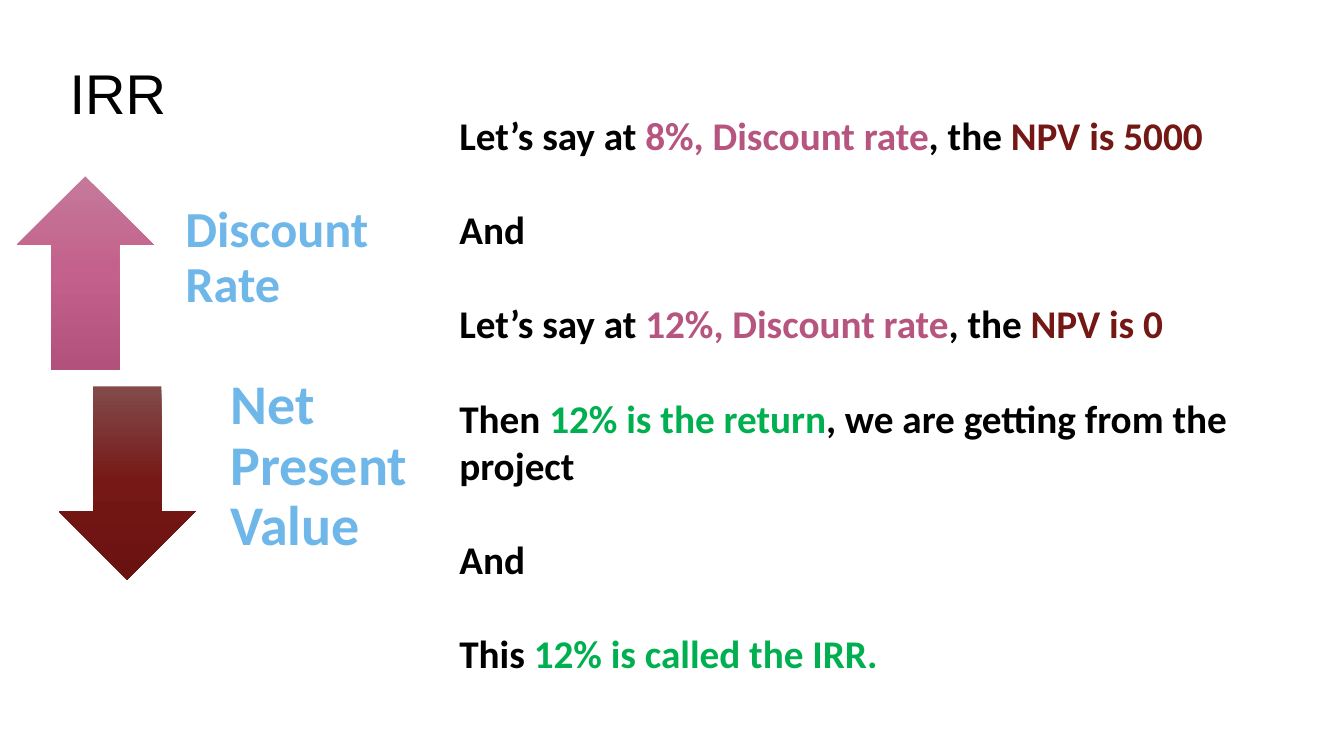
from copy import deepcopy
from dataclasses import dataclass

from pptx import Presentation
from pptx.dml.color import RGBColor
from pptx.enum.shapes import MSO_SHAPE
from pptx.enum.text import MSO_ANCHOR, MSO_AUTO_SIZE, PP_ALIGN
from pptx.oxml.ns import qn
from pptx.slide import Slide
from pptx.util import Emu, Inches, Pt

SLIDE_WIDTH, SLIDE_HEIGHT = Inches(13.33), Inches(7.5)
COLUMNS, ROWS = 160, 90


@dataclass(frozen=True)
class Theme:
    ink: str = "000000"
    label: str = "6FB7E9"
    rate: str = "B65680"
    npv: str = "731815"
    irr: str = "00B050"
    rising: tuple[str, ...] = ("C5799A", "C3618C", "B1517C")
    falling: tuple[str, ...] = ("824B4A", "751816", "6A1210")
    heading_font: str = "Arial"
    body_font: str = "Calibri"
    heading_size: int = 40
    body_size: int = 28
    tight: float = 0.9


THEME = Theme()


@dataclass(frozen=True)
class Area:
    """A rectangle in grid columns and rows."""
    column: float
    row: float
    columns: float
    rows: float

    def emu(self) -> tuple[Emu, Emu, Emu, Emu]:
        column_width, row_height = SLIDE_WIDTH / COLUMNS, SLIDE_HEIGHT / ROWS
        return (Emu(round(self.column * column_width)), Emu(round(self.row * row_height)),
                Emu(round(self.columns * column_width)), Emu(round(self.rows * row_height)))


@dataclass(frozen=True)
class Trend:
    """An arrow and the quantity that moves its way."""
    quantity: str
    direction: MSO_SHAPE
    shades: tuple[str, ...]
    column: float
    row: float
    size: int


TRENDS = (
    Trend("Discount Rate", MSO_SHAPE.UP_ARROW, THEME.rising, 2, 21, 36),
    Trend("Net Present Value", MSO_SHAPE.DOWN_ARROW, THEME.falling, 7, 46, 40),
)
ARROW_COLUMNS, TREND_ROWS = 16.3, 23
LABEL_GAP, LABEL_COLUMNS = 0.4, 30
LABEL_INSET = 0.56  # share of the label's type size

TITLE_AREA = Area(8.3, 7.3, 90.5, 10.9)
REASONING_AREA = Area(53.5, 12.7, 104.3, 63.4)
REASONING = (
    (("Let’s say at ", THEME.ink), ("8%, Discount rate", THEME.rate),
     (", the ", THEME.ink), ("NPV is 5000", THEME.npv)),
    (("And", THEME.ink),),
    (("Let’s say at ", THEME.ink), ("12%, Discount rate", THEME.rate),
     (", the ", THEME.ink), ("NPV is 0", THEME.npv)),
    (("Then ", THEME.ink), ("12% is the return", THEME.irr),
     (", we are getting from the project", THEME.ink)),
    (("And", THEME.ink),),
    (("This ", THEME.ink), ("12% is called the IRR.", THEME.irr)),
)


def rgb(code: str) -> RGBColor:
    return RGBColor.from_string(code)


def add_title(slide: Slide, wording: str) -> None:
    title = slide.shapes.title
    title.left, title.top, title.width, title.height = TITLE_AREA.emu()
    frame = title.text_frame
    frame.text = wording
    frame.margin_left = 0
    frame.vertical_anchor = MSO_ANCHOR.TOP
    heading = frame.paragraphs[0]
    heading.alignment = PP_ALIGN.LEFT
    heading.line_spacing = THEME.tight
    heading.font.name = THEME.heading_font
    heading.font.size = Pt(THEME.heading_size)
    heading.font.color.rgb = rgb(THEME.ink)


def add_arrow(slide: Slide, trend: Trend) -> None:
    area = Area(trend.column, trend.row, ARROW_COLUMNS, TREND_ROWS)
    arrow = slide.shapes.add_shape(trend.direction, *area.emu())
    arrow.shadow.inherit = False
    arrow.line.fill.background()
    arrow.fill.gradient()
    arrow.fill.gradient_angle = 270
    stop_list = arrow.element.find(f".//{qn('a:gsLst')}")
    stop_list.insert(1, deepcopy(stop_list[0]))
    for stop, shade, position in zip(arrow.fill.gradient_stops, trend.shades, (0, 0.5, 1)):
        stop.position = position
        stop.color.rgb = rgb(shade)


def add_quantity(slide: Slide, trend: Trend) -> None:
    area = Area(trend.column + ARROW_COLUMNS + LABEL_GAP, trend.row, LABEL_COLUMNS, TREND_ROWS)
    frame = slide.shapes.add_textbox(*area.emu()).text_frame
    frame.word_wrap = True
    frame.vertical_anchor = MSO_ANCHOR.MIDDLE
    frame.margin_left = frame.margin_right = frame.margin_bottom = Pt(trend.size * LABEL_INSET)
    frame.margin_top = 0
    frame.text = trend.quantity
    label = frame.paragraphs[0]
    label.line_spacing = THEME.tight
    label.font.name = THEME.body_font
    label.font.size = Pt(trend.size)
    label.font.bold = True
    label.font.color.rgb = rgb(THEME.label)


def add_reasoning(slide: Slide) -> None:
    frame = slide.shapes.add_textbox(*REASONING_AREA.emu()).text_frame
    frame.word_wrap = True
    frame.auto_size = MSO_AUTO_SIZE.SHAPE_TO_FIT_TEXT
    for index, phrases in enumerate(REASONING):
        step = frame.add_paragraph() if index else frame.paragraphs[0]
        step.font.name = THEME.body_font
        step.font.size = Pt(THEME.body_size)
        step.font.bold = True
        if index:
            step.space_before = Pt(THEME.body_size * 1.2)
        for wording, color in phrases:
            phrase = step.add_run()
            phrase.text = wording
            phrase.font.color.rgb = rgb(color)


def main() -> None:
    deck = Presentation()
    deck.slide_width, deck.slide_height = SLIDE_WIDTH, SLIDE_HEIGHT
    slide = deck.slides.add_slide(deck.slide_layouts.get_by_name("Title Only"))
    for trend in TRENDS:
        add_arrow(slide, trend)
        add_quantity(slide, trend)
    add_reasoning(slide)
    add_title(slide, "IRR")
    deck.save("out.pptx")


if __name__ == "__main__":
    main()
